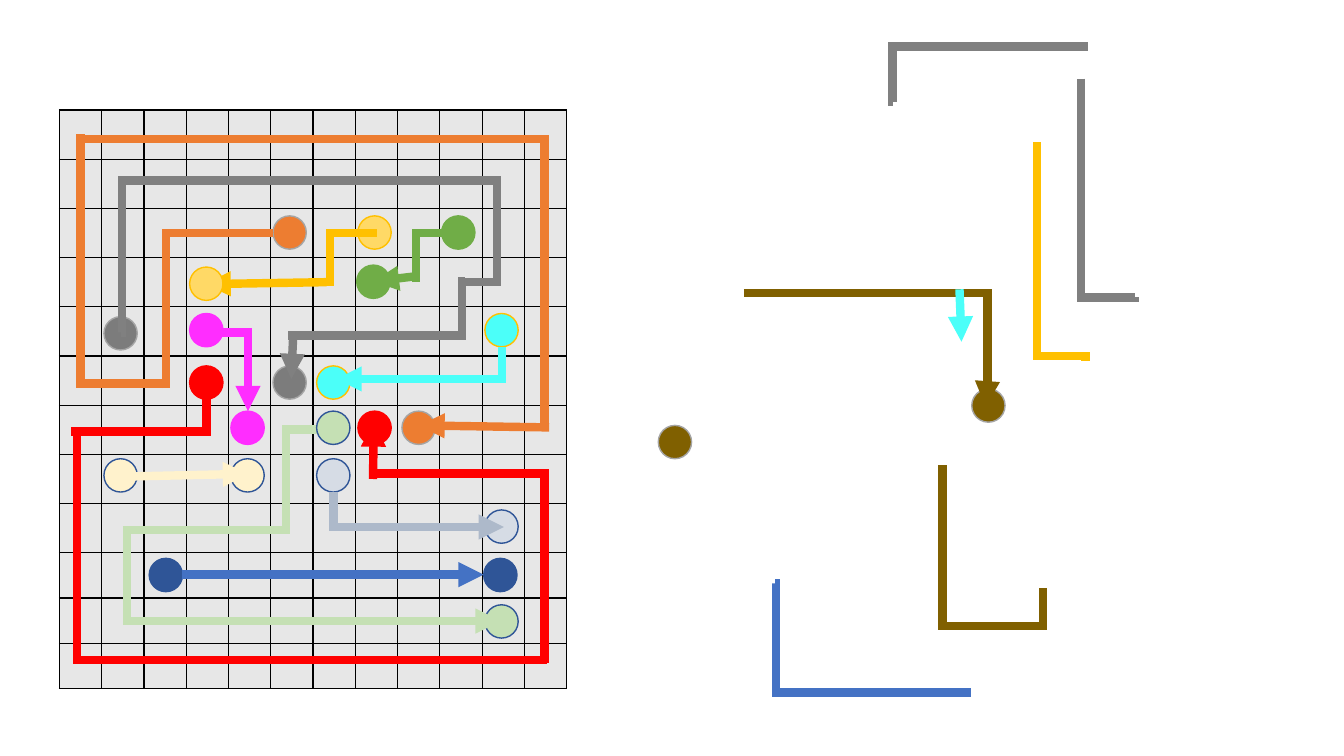
import pptx
import pptx.dml.color
import pptx.enum.shapes
import pptx.oxml
import pptx.oxml.ns
import pptx.util

Cm, Pt = pptx.util.Cm, pptx.util.Pt
qn = pptx.oxml.ns.qn
RGB = pptx.dml.color.RGBColor.from_string
MSO = pptx.enum.shapes

COLORS = {
    "black": "000000", "cell": "E7E7E7", "grey": "808080", "dark grey": "7C7C7C",
    "rim": "A5A5A5", "navy": "2F5597", "blue": "4472C4", "green": "70AD47",
    "red": "FF0000", "amber": "FFC000", "yellow": "FFD966", "magenta": "FF2DFF",
    "brown": "806000", "cyan": "4BFFF9", "orange": "ED7D31", "mint": "C5E0B4",
    "cream": "FFF2CC", "pale blue": "D6DCE5", "steel": "ADB9CA",
}
DOT = 0.84
ROWS = [1.24] * 9 + [1.14] * 3
COLS = [12.78 / 12] * 12

# fill, rim, left and top of each dot (cm)
DOTS = [
    ("dark grey", "rim", [(6.88, 9.22), (2.62, 7.98)]),
    ("navy", "navy", [(3.76, 14.07), (12.19, 14.07)]),
    ("green", "green", [(8.99, 6.68), (11.13, 5.44)]),
    ("red", "red", [(9.02, 10.36), (4.78, 9.22)]),
    ("yellow", "amber", [(4.78, 6.73), (9.02, 5.44)]),
    ("magenta", "magenta", [(5.82, 10.36), (4.78, 7.9)]),
    ("brown", "rim", [(16.59, 10.72), (24.49, 9.8)]),
    ("cyan", "amber", [(12.22, 7.9), (7.98, 9.22)]),
    ("orange", "rim", [(10.13, 10.36), (6.88, 5.44)]),
    ("mint", "navy", [(7.98, 10.36), (12.22, 15.24)]),
    ("cream", "navy", [(2.62, 11.56), (5.82, 11.56)]),
    ("pale blue", "navy", [(7.98, 11.56), (12.22, 12.85)]),
]

# colour, start, end, bend (axis and position, None when straight), arrowhead
ROUTES_UNDER = [
    ("amber", (8.23, 7.11), (5.18, 7.16), None, True),
    ("mint", (3.1, 13.36), (8.48, 10.82), ("x", 7.21), False),
]
ROUTES_OVER = [
    ("green", (10.49, 7.11), (11.56, 5.44), ("y", 5.87), False),
    ("red", (5.44, 9.63), (1.8, 10.87), ("x", 5.21), False),
    ("green", (10.49, 6.96), (9.42, 7.09), None, True),
    ("red", (9.4, 12.07), (9.42, 10.62), None, True),
    ("blue", (24.46, 17.45), (19.53, 14.71), ("x", 19.56), False),
    ("blue", (4.6, 14.48), (12.19, 14.48), None, True),
    ("grey", (22.5, 2.57), (27.43, 1.17), ("x", 22.49), False),
    ("grey", (27.25, 1.98), (28.6, 7.49), ("y", 7.5), False),
    ("grey", (12.62, 4.55), (3.05, 8.38), ("x", 3.07), False),
    ("amber", (26.14, 3.58), (27.36, 9.09), ("y", 8.98), False),
    ("brown", (23.75, 11.73), (26.29, 14.81), ("y", 15.77), False),
    ("brown", (18.75, 7.39), (24.84, 10.24), ("x", 24.88), True),
    ("cyan", (24.18, 7.29), (24.23, 8.61), None, True),
    ("orange", (4.19, 9.78), (6.88, 5.87), ("y", 5.87), False),
    ("orange", (4.11, 9.7), (2.03, 3.38), ("y", 9.66), False),
    ("orange", (13.72, 10.82), (2.01, 3.51), ("x", 13.72), False),
    ("orange", (13.84, 10.77), (10.57, 10.72), None, True),
    ("grey", (12.52, 4.6), (11.66, 7.16), ("y", 7.1), False),
    ("grey", (11.71, 7.09), (7.26, 8.46), ("x", 11.64), False),
    ("grey", (7.39, 8.43), (7.34, 9.55), None, True),
    ("amber", (9.5, 5.87), (8.2, 7.11), ("x", 8.31), False),
    ("cyan", (12.65, 8.74), (8.48, 9.55), ("y", 9.55), True),
    ("magenta", (5.21, 8.74), (6.25, 10.36), ("y", 8.38), True),
    ("red", (13.79, 16.64), (1.91, 10.9), ("x", 1.94), False),
    ("red", (13.72, 16.71), (9.5, 11.86), ("y", 11.94), False),
    ("cream", (3.07, 12.01), (6.25, 11.94), None, True),
    ("mint", (3.3, 13.36), (12.62, 15.65), ("x", 3.2), True),
    ("steel", (8.41, 12.4), (12.7, 13.28), ("y", 13.28), True),
]


def add_routes(s, routes):
    """Draw thick connectors; a bend on y means the route leaves vertically."""
    for color, (x0, y0), (x1, y1), bend, arrow in routes:
        dx, dy = x1 - x0, y1 - y0
        turn = 0
        if bend and bend[0] == "y":
            # An elbow leaves sideways, so a vertical start is a quarter turn
            turn = 90 if dx * dy < 0 else 270
            sign = 1 if turn == 90 else -1
            mx, my = (x0 + x1) / 2, (y0 + y1) / 2
            wx, wy = sign * dy / 2, -sign * dx / 2
            ends = (mx - wx, my - wy, mx + wx, my + wy)
        else:
            ends = (x0, y0, x1, y1)
        kind = MSO.MSO_CONNECTOR.ELBOW if bend else MSO.MSO_CONNECTOR.STRAIGHT
        sp = s.shapes.add_connector(kind, *[Cm(v) for v in ends])
        sp.line.color.rgb = RGB(COLORS[color])
        sp.line.width = Pt(6)
        props = sp._element.spPr
        if turn:
            props.find(qn("a:xfrm")).set("rot", str(turn * 60000))
        if bend:
            geom = props.find(qn("a:prstGeom"))
            if bend == ("y", y1):
                geom.set("prst", "bentConnector2")
            else:
                share = (bend[1] - x0) / dx if bend[0] == "x" else (bend[1] - y0) / dy
                gd = geom.find(qn("a:avLst")).makeelement(qn("a:gd"))
                gd.set("name", "adj1")
                gd.set("fmla", f"val {round(share * 100000)}")
                geom.find(qn("a:avLst")).append(gd)
        ln = props.find(qn("a:ln"))
        miter = ln.makeelement(qn("a:miter"))
        miter.set("lim", "800000")
        ln.append(miter)
        if arrow:
            tail = ln.makeelement(qn("a:tailEnd"))
            tail.set("type", "triangle")
            ln.append(tail)
        props.append(props.makeelement(qn("a:effectLst")))


def border_cell(cell):
    """Fill a grid cell and give it a thin black line on every side."""
    tc_pr = cell._tc.get_or_add_tcPr()
    for side in ("L", "R", "T", "B"):
        tc_pr.append(pptx.oxml.parse_xml(
            f'<a:ln{side} xmlns:a="http://schemas.openxmlformats.org/drawingml/2006/main" '
            f'w="12700"><a:solidFill><a:srgbClr val="{COLORS["black"]}"/></a:solidFill>'
            f'</a:ln{side}>'))
    cell.fill.solid()
    cell.fill.fore_color.rgb = RGB(COLORS["cell"])


prs = pptx.Presentation()
prs.slide_width, prs.slide_height = Cm(33.87), Cm(19.05)
s = prs.slides.add_slide(prs.slide_layouts[6])

# Grid
table = s.shapes.add_table(len(ROWS), len(COLS), Cm(1.5), Cm(2.77),
                           Cm(sum(COLS)), Cm(sum(ROWS))).table
table.first_row = table.horz_banding = False
for row, height in zip(table.rows, ROWS):
    row.height = Cm(height)
for col, width in zip(table.columns, COLS):
    col.width = Cm(width)
for cell in table.iter_cells():
    border_cell(cell)

# Routes and dots
add_routes(s, ROUTES_UNDER)
for fill, rim, places in DOTS:
    for left, top in places:
        sp = s.shapes.add_shape(MSO.MSO_SHAPE.OVAL, Cm(left), Cm(top), Cm(DOT), Cm(DOT))
        sp.shadow.inherit = False
        sp.fill.solid()
        sp.fill.fore_color.rgb = RGB(COLORS[fill])
        sp.line.color.rgb = RGB(COLORS[rim])
        sp.line.width = Pt(1)
add_routes(s, ROUTES_OVER)

prs.save("out.pptx")
